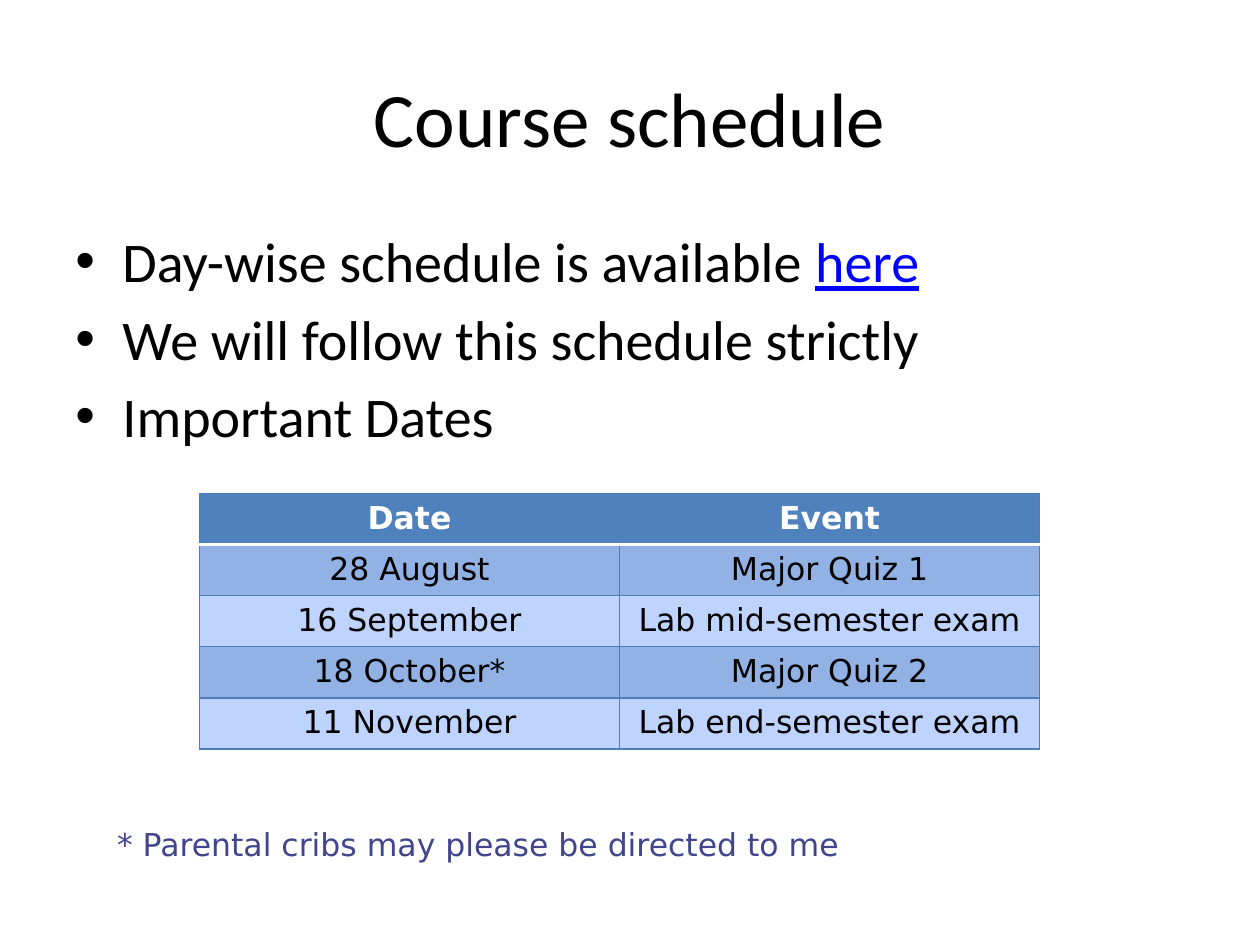
import lxml.etree
import pptx
import pptx.dml.color
import pptx.enum.text
import pptx.oxml
import pptx.oxml.ns
import pptx.util

Cm = pptx.util.Cm
Pt = pptx.util.Pt
RGBColor = pptx.dml.color.RGBColor
ALIGN = pptx.enum.text.PP_ALIGN
ANCHOR = pptx.enum.text.MSO_ANCHOR
qn = pptx.oxml.ns.qn

BLACK = RGBColor(0x00, 0x00, 0x00)
WHITE = RGBColor(0xFF, 0xFF, 0xFF)
LINK_BLUE = RGBColor(0x00, 0x00, 0xFF)
HEADER_BLUE = RGBColor(0x4F, 0x81, 0xBD)
BAND_DARK = RGBColor(0x92, 0xB2, 0xE5)
BAND_LIGHT = RGBColor(0xBF, 0xD3, 0xFF)
BORDER_BLUE = RGBColor(0x4B, 0x7E, 0xBC)
NOTE_PURPLE = RGBColor(0x40, 0x45, 0x8C)


def add_text(para, text, size=18, face="DejaVu Sans", color=BLACK,
             bold=False, underline=False, align=None):
    if align is not None:
        para.alignment = align
    span = para.add_run()
    span.text = text
    span.font.size = Pt(size)
    span.font.name = face
    span.font.color.rgb = color
    span.font.bold = bold
    span.font.underline = underline


def add_border(cell, side, color, width):
    properties = cell._tc.get_or_add_tcPr()
    line = lxml.etree.SubElement(properties, qn("a:ln" + side), w=str(Pt(width)))
    fill = lxml.etree.SubElement(line, qn("a:solidFill"))
    lxml.etree.SubElement(fill, qn("a:srgbClr"), val=str(color))


deck = pptx.Presentation()
deck.slide_width = Cm(25.4)
deck.slide_height = Cm(19.05)
page = deck.slides.add_slide(deck.slide_layouts[5])

# Title
title = page.shapes.title
title.left, title.top, title.width, title.height = Cm(1.27), Cm(0.76), Cm(22.86), Cm(3.18)
title.text_frame.vertical_anchor = ANCHOR.MIDDLE
add_text(title.text_frame.paragraphs[0], "Course schedule",
         size=44, face="Calibri", align=ALIGN.CENTER)

# Bullet list
bullets = [
    [("Day-wise schedule is available ", {}),
     ("here", {"color": LINK_BLUE, "underline": True})],
    [("We will follow this schedule strictly", {})],
    [("Important Dates", {})],
]
box = page.shapes.add_textbox(Cm(1.27), Cm(4.45), Cm(22.86), Cm(12.57))
box.text_frame.word_wrap = True
for index, pieces in enumerate(bullets):
    para = box.text_frame.paragraphs[0] if index == 0 else box.text_frame.add_paragraph()
    if index > 0:
        para.space_before = Pt(5.8)
    properties = para._p.get_or_add_pPr()
    properties.set("marL", str(Cm(0.95)))
    properties.set("indent", str(-Cm(0.95)))
    lxml.etree.SubElement(properties, qn("a:buFont"), typeface="Arial")
    lxml.etree.SubElement(properties, qn("a:buChar"), char="•")
    for text, look in pieces:
        add_text(para, text, size=32, face="Calibri", **look)

# Table of dates
rows = [
    ("Date", "Event"),
    ("28 August", "Major Quiz 1"),
    ("16 September", "Lab mid-semester exam"),
    ("18 October*", "Major Quiz 2"),
    ("11 November", "Lab end-semester exam"),
]
table = page.shapes.add_table(len(rows), 2, Cm(4.02), Cm(9.95), Cm(16.94), Cm(5.15)).table
for row_index, row in enumerate(rows):
    header = row_index == 0
    if header:
        shade = HEADER_BLUE
    else:
        shade = BAND_DARK if row_index % 2 else BAND_LIGHT
    # A white rule parts the header from the first date
    edges = {"L": (BORDER_BLUE, 0.75), "R": (BORDER_BLUE, 0.75),
             "T": (WHITE, 2) if row_index == 1 else (BORDER_BLUE, 0.75),
             "B": (WHITE, 2) if header else (BORDER_BLUE, 0.75)}
    for column_index, text in enumerate(row):
        cell = table.cell(row_index, column_index)
        for side, (color, width) in edges.items():
            add_border(cell, side, color, width)
        cell.fill.solid()
        cell.fill.fore_color.rgb = shade
        add_text(cell.text_frame.paragraphs[0], text, bold=header,
                 color=WHITE if header else BLACK, align=ALIGN.CENTER)

# Footnote
note = page.shapes.add_textbox(Cm(2.11), Cm(16.51), Cm(18.63), Cm(1.02))
note.text_frame.word_wrap = True
add_text(note.text_frame.paragraphs[0], "* Parental cribs may please be directed to me",
         color=NOTE_PURPLE)

deck.save("out.pptx")
